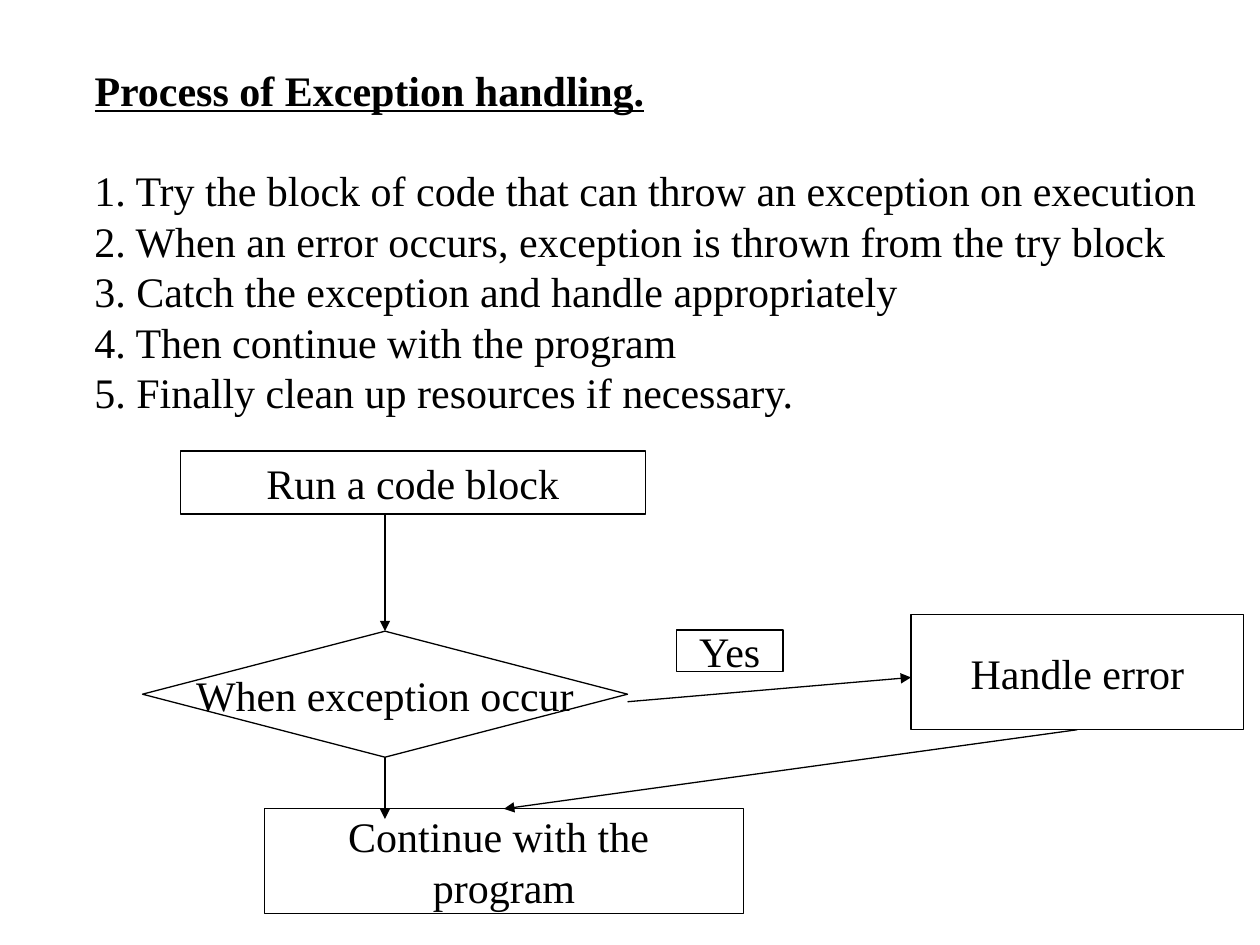
from dataclasses import dataclass

from lxml import etree
from pptx import Presentation
from pptx.dml.color import RGBColor
from pptx.enum.shapes import MSO_CONNECTOR, MSO_SHAPE
from pptx.enum.text import MSO_ANCHOR, PP_ALIGN
from pptx.oxml.ns import qn
from pptx.util import Pt

RECT, DIAMOND = MSO_SHAPE.RECTANGLE, MSO_SHAPE.DIAMOND
STRAIGHT = MSO_CONNECTOR.STRAIGHT
LEFT, CENTER = PP_ALIGN.LEFT, PP_ALIGN.CENTER
TOP, MIDDLE = MSO_ANCHOR.TOP, MSO_ANCHOR.MIDDLE
TOP_SIDE, BOTTOM_SIDE = 0, 2


@dataclass
class Theme:
    font: str = "Times New Roman"
    size: float = 24
    ink: RGBColor = RGBColor(0, 0, 0)
    paper: RGBColor = RGBColor(255, 255, 255)
    line: float = 0.75


class Deck:
    def __init__(self, theme, slide):
        self.theme = theme
        self.slide = slide

    def label(self, frame, text, align=LEFT, anchor=TOP, wrap=True, bold=False):
        frame.text = text
        frame.word_wrap = wrap
        frame.vertical_anchor = anchor
        frame.margin_left = frame.margin_right = Pt(7.2)
        frame.margin_top = frame.margin_bottom = Pt(3.6)
        for para in frame.paragraphs:
            para.alignment = align
            for run in para.runs:
                font = run.font
                font.name = self.theme.font
                font.size = Pt(self.theme.size)
                font.color.rgb = self.theme.ink
                font.bold = font.underline = bold

    def title(self, text, x, y, w, h):
        shape = self.slide.shapes.title
        shape.left, shape.top, shape.width, shape.height = map(Pt, (x, y, w, h))
        self.label(shape.text_frame, text, bold=True)

    def text(self, text, x, y, w, h):
        box = self.slide.shapes.add_textbox(*map(Pt, (x, y, w, h)))
        self.label(box.text_frame, text)

    def node(self, text, x, y, w, h, kind=RECT):
        shape = self.slide.shapes.add_shape(kind, *map(Pt, (x, y, w, h)))
        shape.shadow.inherit = False
        shape.fill.solid()
        shape.fill.fore_color.rgb = self.theme.paper
        shape.line.color.rgb = self.theme.ink
        shape.line.width = Pt(self.theme.line)
        self.label(shape.text_frame, text, CENTER, MIDDLE, wrap=False)
        return shape

    def arrow(self, x1, y1, x2, y2, start=None, end=None):
        link = self.slide.shapes.add_connector(STRAIGHT, *map(Pt, (x1, y1, x2, y2)))
        if start is not None:
            link.begin_connect(start, BOTTOM_SIDE)
        if end is not None:
            link.end_connect(end, TOP_SIDE)
        link.line.color.rgb = self.theme.ink
        link.line.width = Pt(self.theme.line)
        props = link._element.spPr
        etree.SubElement(props.find(qn("a:ln")), qn("a:tailEnd"), type="triangle")
        etree.SubElement(props, qn("a:effectLst"))


def main():
    prs = Presentation()
    prs.slide_width, prs.slide_height = Pt(720), Pt(540)
    deck = Deck(Theme(), prs.slides.add_slide(prs.slide_layouts[5]))

    # Heading and numbered steps
    deck.title("Process of Exception handling.", 46.8, 33.1, 658.8, 36)
    steps = [
        "Try the block of code that can throw an exception on execution",
        "When an error occurs, exception is thrown from the try block",
        "Catch the exception and handle appropriately",
        "Then continue with the program",
        "Finally clean up resources if necessary.",
    ]
    lines = "\n".join(f"{n}. {step}" for n, step in enumerate(steps, 1))
    deck.text(lines, 46.8, 90.7, 658.8, 151.2)

    # Flow chart nodes
    deck.node("Run a code block", 103, 257.8, 265.7, 36)
    handle = deck.node("Handle error", 520.6, 351.2, 190.1, 65.8)
    resume = deck.node("Continue with the \nprogram", 151.2, 462.2, 273.6, 59.8)
    check = deck.node("When exception occur", 81.4, 360.7, 277.2, 72, DIAMOND)
    deck.node("Yes", 386.6, 360, 60.8, 23.8)

    # Flow chart arrows
    deck.arrow(220, 293.8, 220, 360.7, end=check)
    deck.arrow(220, 432.7, 220, 468, start=check)
    deck.arrow(358.6, 401, 520.6, 387.1)
    deck.arrow(615.6, 417, 288, 462.2, start=handle, end=resume)

    prs.save("out.pptx")


if __name__ == "__main__":
    main()
